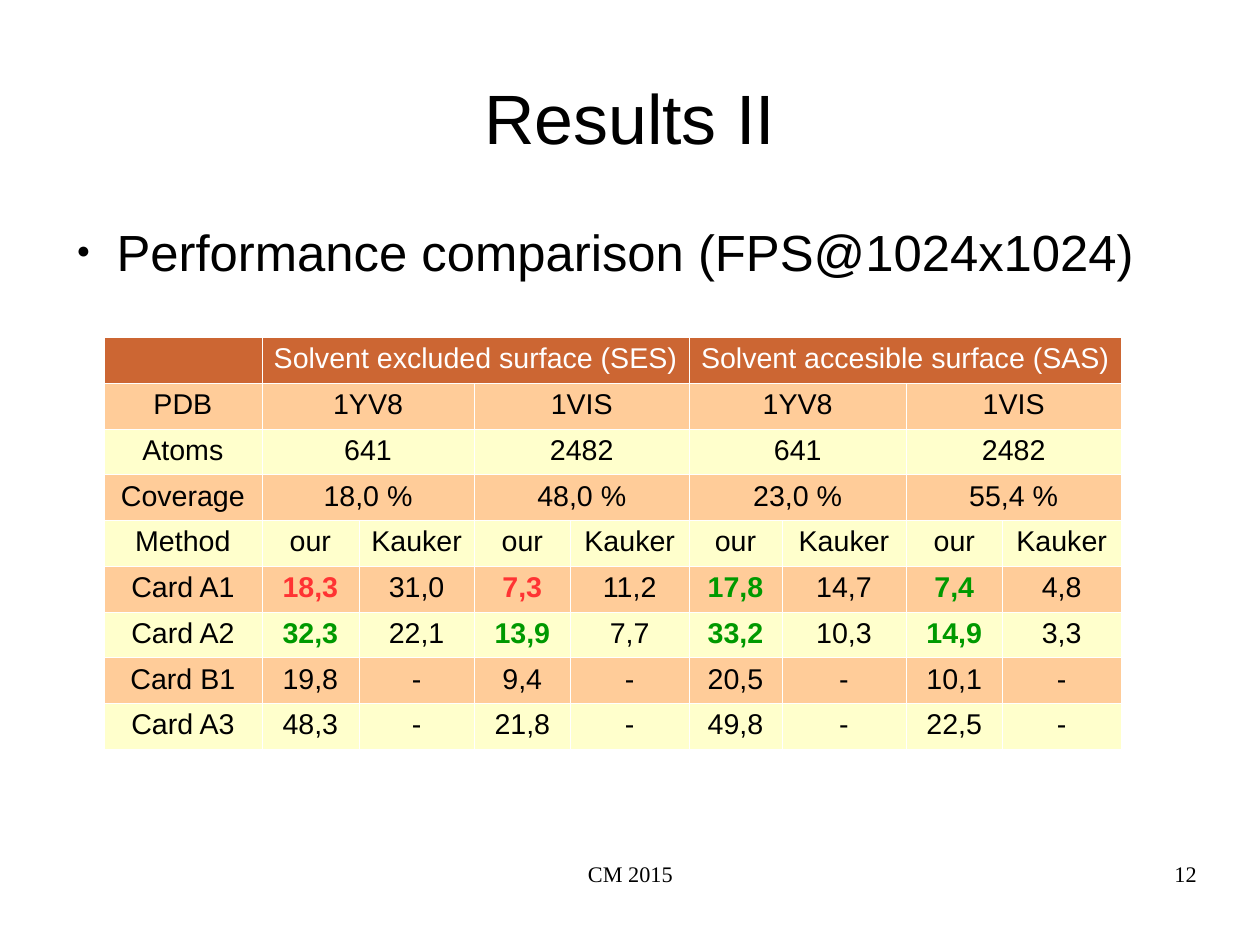
from dataclasses import dataclass

import lxml.etree
import pptx
import pptx.dml.color
import pptx.enum.text
import pptx.oxml.ns
import pptx.util

Inches = pptx.util.Inches
Pt = pptx.util.Pt
ALIGN = pptx.enum.text.PP_ALIGN
ANCHOR = pptx.enum.text.MSO_ANCHOR

CM_PER_INCH = 2.54
SLIDE_WIDTH = Inches(28 / CM_PER_INCH)
SLIDE_HEIGHT = Inches(21 / CM_PER_INCH)

BLACK, WHITE = "000000", "FFFFFF"
RED, GREEN = "FF3333", "009900"
HEADER_FILL, ORANGE, CREAM = "CC6633", "FFCC99", "FFFFCC"

COLUMN_WIDTHS = [1.38, 0.85, 1.01, 0.84, 1.04, 0.81, 1.09, 0.84, 1.04]
ROW_HEIGHT = 0.38


@dataclass
class TextBox:
    text: str
    left: float
    top: float
    width: float
    height: float
    size: float
    font: str
    align: ALIGN
    anchor: ANCHOR = ANCHOR.TOP
    bullet: bool = False


@dataclass
class TableRow:
    """Values after the label are spread evenly over the eight data columns."""
    label: str
    values: list[str]
    highlight: str = ""


TEXT_BOXES = [
    TextBox("Results II", 0.55, 0.33, 9.92, 1.38, 44, "Arial", ALIGN.CENTER, ANCHOR.MIDDLE),
    TextBox("Performance comparison (FPS@1024x1024)", 0.55, 1.93, 9.92, 5.46, 32,
            "Arial", ALIGN.LEFT, bullet=True),
    TextBox("CM 2015", 3.77, 7.53, 3.49, 0.57, 14, "Times New Roman", ALIGN.CENTER),
    TextBox("12", 7.9, 7.53, 2.57, 0.57, 14, "Times New Roman", ALIGN.RIGHT),
]

TABLE_ROWS = [
    TableRow("", ["Solvent excluded surface (SES)", "Solvent accesible surface (SAS)"]),
    TableRow("PDB", ["1YV8", "1VIS"] * 2),
    TableRow("Atoms", ["641", "2482"] * 2),
    TableRow("Coverage", ["18,0 %", "48,0 %", "23,0 %", "55,4 %"]),
    TableRow("Method", ["our", "Kauker"] * 4),
    TableRow("Card A1", ["18,3", "31,0", "7,3", "11,2", "17,8", "14,7", "7,4", "4,8"],
             "R-R-G-G-"),
    TableRow("Card A2", ["32,3", "22,1", "13,9", "7,7", "33,2", "10,3", "14,9", "3,3"],
             "G-G-G-G-"),
    TableRow("Card B1", ["19,8", "-", "9,4", "-", "20,5", "-", "10,1", "-"]),
    TableRow("Card A3", ["48,3", "-", "21,8", "-", "49,8", "-", "22,5", "-"]),
]
HIGHLIGHT_COLORS = {"R": RED, "G": GREEN}


def rgb(color: str) -> pptx.dml.color.RGBColor:
    return pptx.dml.color.RGBColor.from_string(color)


def add_element(parent, tag: str, **attributes: str):
    return lxml.etree.SubElement(parent, pptx.oxml.ns.qn(tag), attributes)


def add_run(paragraph, text: str, size: float, font: str, color: str, bold: bool = False) -> None:
    run = paragraph.add_run()
    run.text = text
    run.font.size = Pt(size)
    run.font.name = font
    run.font.bold = bold
    run.font.color.rgb = rgb(color)


def add_bullet(paragraph) -> None:
    properties = paragraph._p.get_or_add_pPr()
    properties.set("marL", str(Inches(0.47)))
    properties.set("indent", str(Inches(-0.35)))
    add_element(add_element(properties, "a:buClr"), "a:srgbClr", val=BLACK)
    add_element(properties, "a:buSzPct", val="45000")
    add_element(properties, "a:buFont", typeface="Arial")
    add_element(properties, "a:buChar", char="●")
    paragraph.space_after = Pt(14.2)


def add_text_box(slide, box: TextBox) -> None:
    shape = slide.shapes.add_textbox(
        Inches(box.left), Inches(box.top), Inches(box.width), Inches(box.height))
    frame = shape.text_frame
    frame.word_wrap = True
    frame.vertical_anchor = box.anchor
    frame.margin_left = frame.margin_right = frame.margin_top = frame.margin_bottom = 0
    paragraph = frame.paragraphs[0]
    paragraph.alignment = box.align
    if box.bullet:
        add_bullet(paragraph)
    add_run(paragraph, box.text, box.size, box.font, BLACK)


def style_cell(cell, fill: str) -> None:
    """Give a cell thin white borders and a solid fill."""
    properties = cell._tc.get_or_add_tcPr()
    for side in ("a:lnL", "a:lnR", "a:lnT", "a:lnB"):
        line = add_element(properties, side, w=str(Pt(0.06)))
        add_element(add_element(line, "a:solidFill"), "a:srgbClr", val=WHITE)
    cell.fill.solid()
    cell.fill.fore_color.rgb = rgb(fill)


def write_cell(cell, text: str, color: str, bold: bool = False) -> None:
    paragraph = cell.text_frame.paragraphs[0]
    paragraph.alignment = ALIGN.CENTER
    if text:
        add_run(paragraph, text, 18, "Arial", color, bold)


def add_results_table(slide) -> None:
    frame = slide.shapes.add_table(
        len(TABLE_ROWS), len(COLUMN_WIDTHS), Inches(0.91), Inches(2.95),
        Inches(sum(COLUMN_WIDTHS)), Inches(ROW_HEIGHT * len(TABLE_ROWS)))
    table = frame.table
    table.first_row = table.horz_banding = False
    for column, width in zip(table.columns, COLUMN_WIDTHS):
        column.width = Inches(width)

    for row_index, row in enumerate(TABLE_ROWS):
        table.rows[row_index].height = Inches(ROW_HEIGHT)
        is_header = row_index == 0
        fill = HEADER_FILL if is_header else (ORANGE if row_index % 2 else CREAM)
        text_color = WHITE if is_header else BLACK
        for cell in table.rows[row_index].cells:
            style_cell(cell, fill)

        write_cell(table.cell(row_index, 0), row.label, text_color)
        span = (len(COLUMN_WIDTHS) - 1) // len(row.values)
        for value_index, value in enumerate(row.values):
            first_column = 1 + value_index * span
            cell = table.cell(row_index, first_column)
            if span > 1:
                cell.merge(table.cell(row_index, first_column + span - 1))
            mark = row.highlight[value_index:value_index + 1]
            color = HIGHLIGHT_COLORS.get(mark, text_color)
            write_cell(cell, value, color, mark in HIGHLIGHT_COLORS)


def main() -> None:
    presentation = pptx.Presentation()
    presentation.slide_width = SLIDE_WIDTH
    presentation.slide_height = SLIDE_HEIGHT
    slide = presentation.slides.add_slide(presentation.slide_layouts[6])
    title, body, *footers = TEXT_BOXES
    add_text_box(slide, title)
    add_text_box(slide, body)
    add_results_table(slide)
    for footer in footers:
        add_text_box(slide, footer)
    presentation.save("out.pptx")


if __name__ == "__main__":
    main()
